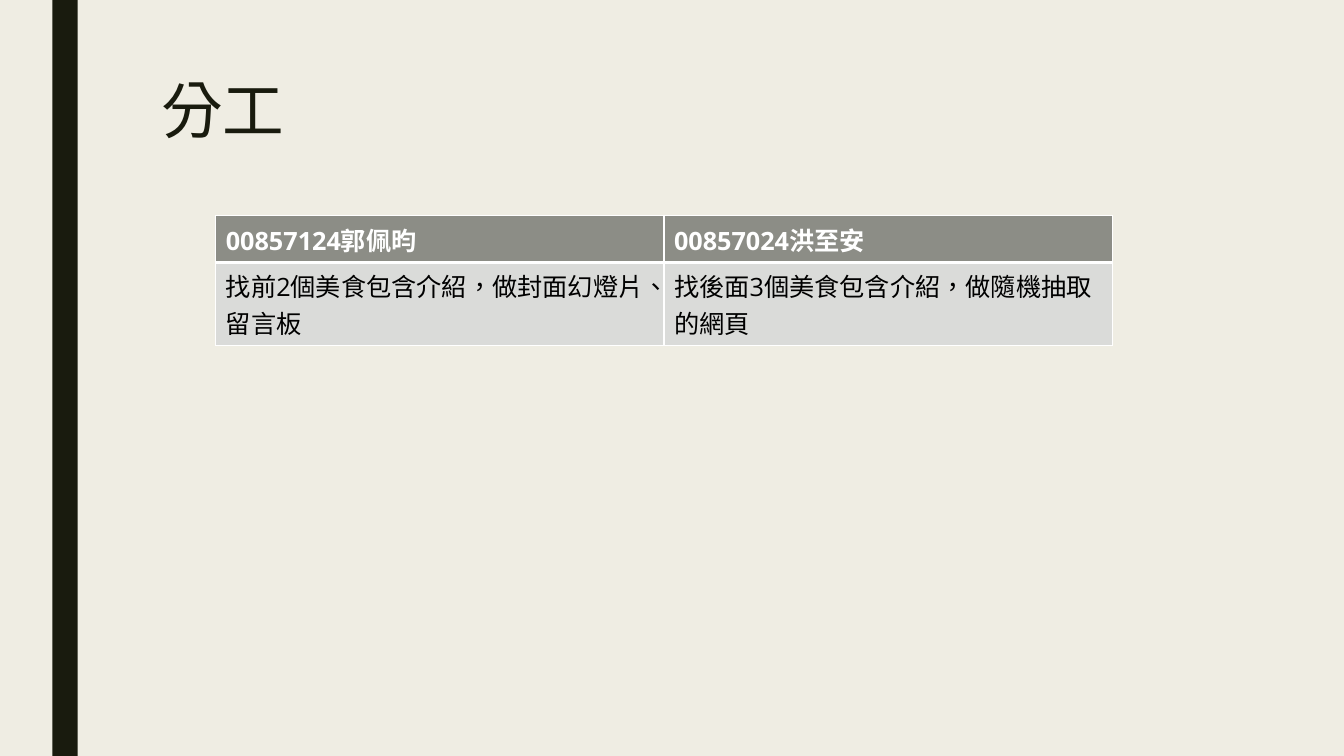
"""Build the division-of-work slide: a title, a side bar and a two-person task table."""
import pptx
import pptx.dml.color
import pptx.enum.lang
import pptx.enum.shapes
import pptx.enum.text
import pptx.oxml
import pptx.oxml.ns
import pptx.util

Inches = pptx.util.Inches

HEADING = "分工"
DUTIES = [
    ("00857124郭佩昀", "找前2個美食包含介紹，做封面幻燈片、留言板"),
    ("00857024洪至安", "找後面3個美食包含介紹，做隨機抽取的網頁"),
]
THEME = {
    "font": "Open Sans", "title_size": 44, "table_size": 18,
    "paper": "EFEDE3", "ink": "191B0E", "rule": "FFFFFF",
    "member": {"fill": "8C8D86", "color": "FFFFFF", "bold": True},
    "duty": {"fill": "DADBD9", "color": "000000", "bold": False},
    "thin": 1, "thick": 3,
}
SLIDE_SIZE = (13.33, 7.5)
BAR = (0.52, 0, 0.25, 7.5)
HEADING_BOX = (1.5, 0.75, 10.5, 1.62)
TABLE_BOX = (2.14, 2.14, 8.89, 0.82)


def rgb(value):
    return pptx.dml.color.RGBColor.from_string(value)


def paint(fill, color):
    fill.solid()
    fill.fore_color.rgb = rgb(color)


def write(frame, text, *, size, color, bold=False, spacing=None):
    frame.word_wrap = True
    paragraph = frame.paragraphs[0]
    paragraph.alignment = pptx.enum.text.PP_ALIGN.LEFT
    paragraph.line_spacing = spacing
    run = paragraph.add_run()
    run.text = text
    run.font.name = THEME["font"]
    run.font.size = pptx.util.Pt(size)
    run.font.bold = bold
    run.font.color.rgb = rgb(color)
    run.font.language_id = pptx.enum.lang.MSO_LANGUAGE_ID.TRADITIONAL_CHINESE


def border(cell, widths):
    properties = cell._tc.get_or_add_tcPr()
    for position, (side, width) in enumerate(widths.items()):
        properties.insert(position, pptx.oxml.parse_xml(
            f'<a:ln{side} {pptx.oxml.ns.nsdecls("a")} w="{pptx.util.Pt(width)}">'
            f'<a:solidFill><a:srgbClr val="{THEME["rule"]}"/></a:solidFill></a:ln{side}>'))


deck = pptx.Presentation()
deck.slide_width, deck.slide_height = map(Inches, SLIDE_SIZE)
slide = deck.slides.add_slide(deck.slide_layouts[5])
paint(slide.background.fill, THEME["paper"])

side_bar = slide.shapes.add_shape(pptx.enum.shapes.MSO_SHAPE.RECTANGLE, *map(Inches, BAR))
side_bar.shadow.inherit = False
paint(side_bar.fill, THEME["ink"])
side_bar.line.fill.background()

heading = slide.shapes.title
heading.left, heading.top, heading.width, heading.height = map(Inches, HEADING_BOX)
heading.text_frame.vertical_anchor = pptx.enum.text.MSO_ANCHOR.TOP
write(heading.text_frame, HEADING, size=THEME["title_size"], color=THEME["ink"], spacing=0.89)

duty_table = slide.shapes.add_table(2, len(DUTIES), *map(Inches, TABLE_BOX)).table
thin, thick = THEME["thin"], THEME["thick"]
edges = {
    "member": {"L": thin, "R": thin, "T": thin, "B": thick},
    "duty": {"L": thin, "R": thin, "T": thick, "B": thin},
}
for column, entry in enumerate(DUTIES):
    for row, (part, text) in enumerate(zip(edges, entry)):
        cell = duty_table.cell(row, column)
        look = THEME[part]
        paint(cell.fill, look["fill"])
        border(cell, edges[part])
        write(cell.text_frame, text, size=THEME["table_size"],
              color=look["color"], bold=look["bold"])

deck.save("out.pptx")
